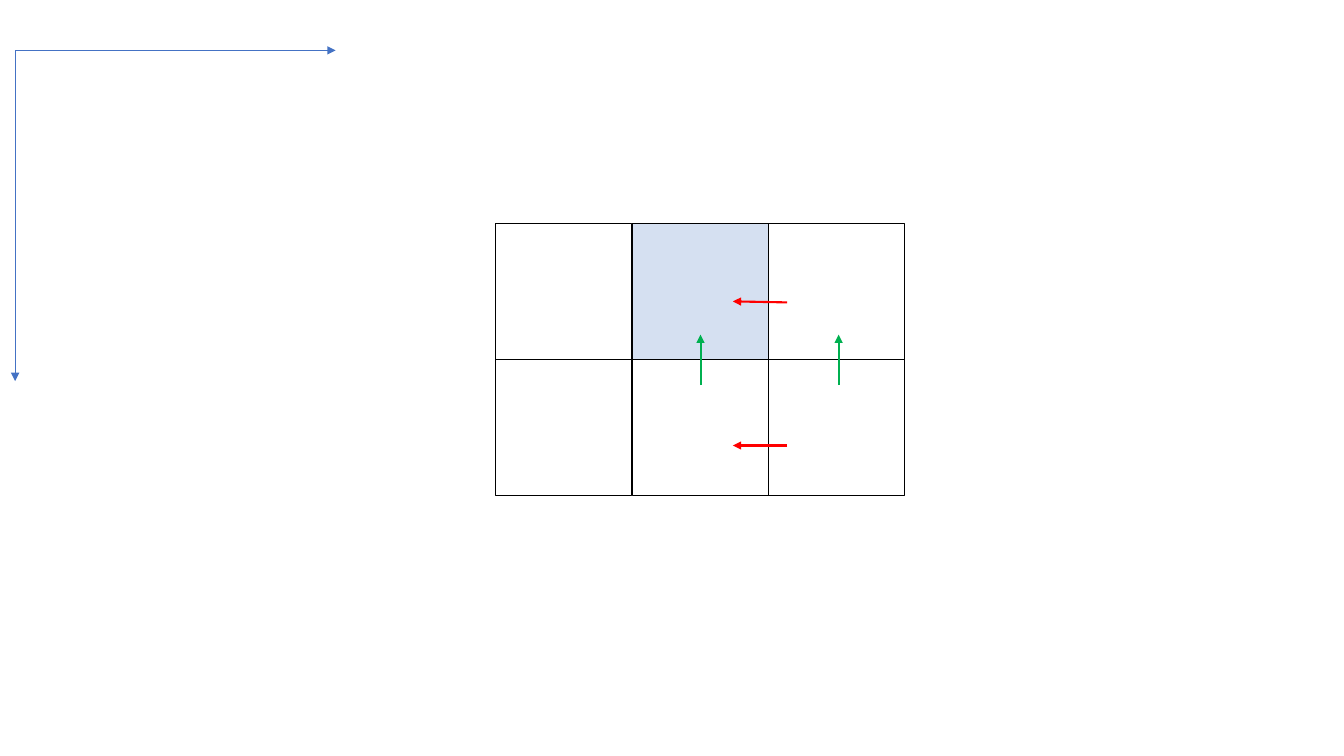
from pptx import Presentation
from pptx import util as u
from pptx.dml.color import RGBColor
from pptx.enum import shapes
from pptx.oxml.ns import qn
from lxml import etree

BLUE, BLACK, RED, GREEN, HIGHLIGHT = "4472C4", "000000", "FF0000", "00B050", "B4C7E7"
GRID_LEFT, GRID_TOP, CELL = 354.24, 159.84, 97.2
ROWS, COLUMNS = 2, 3
HIGHLIGHTED_CELL = (0, 1)


def colour(hex_code):
    return RGBColor.from_string(hex_code)


def set_line(shape, hex_code, width):
    shape.line.color.rgb = colour(hex_code)
    shape.line.width = u.Pt(width)


def add_arrow(slide, start, end, hex_code, width):
    points = [u.Pt(value) for value in (*start, *end)]
    arrow = slide.shapes.add_connector(shapes.MSO_CONNECTOR.STRAIGHT, *points)
    set_line(arrow, hex_code, width)
    etree.SubElement(arrow.line._get_or_add_ln(), qn("a:tailEnd"), type="triangle")
    etree.SubElement(arrow._element.spPr, qn("a:effectLst"))


def add_cell(slide, row, column):
    left, top = GRID_LEFT + column * CELL, GRID_TOP + row * CELL
    cell = slide.shapes.add_shape(
        shapes.MSO_SHAPE.RECTANGLE, u.Pt(left), u.Pt(top), u.Pt(CELL), u.Pt(CELL))
    cell.shadow.inherit = False
    set_line(cell, BLACK, 0.75)
    if (row, column) == HIGHLIGHTED_CELL:
        cell.fill.solid()
        cell.fill.fore_color.rgb = colour(HIGHLIGHT)
        fill_colour = cell._element.spPr.find(qn("a:solidFill"))[0]
        etree.SubElement(fill_colour, qn("a:alpha"), val="55000")
    else:
        cell.fill.background()


def main():
    presentation = Presentation()
    presentation.slide_width, presentation.slide_height = u.Pt(960), u.Pt(540)
    slide = presentation.slides.add_slide(presentation.slide_layouts[6])

    # Coordinate axes
    origin = (10.8, 36)
    for axis_end in ((10.8, 272.16), (239.76, 36)):
        add_arrow(slide, origin, axis_end, BLUE, 0.5)

    # Grid of cells
    for row in range(ROWS):
        for column in range(COLUMNS):
            add_cell(slide, row, column)

    # Moves to the left
    for start_y, end_y in ((216, 215.28), (318.24, 318.24)):
        add_arrow(slide, (562.32, start_y), (523.44, end_y), RED, 1.5)

    # Moves upwards
    for x in (500.4, 599.04):
        add_arrow(slide, (x, 275.04), (x, 239.04), GREEN, 1.5)

    presentation.save("out.pptx")


if __name__ == "__main__":
    main()
